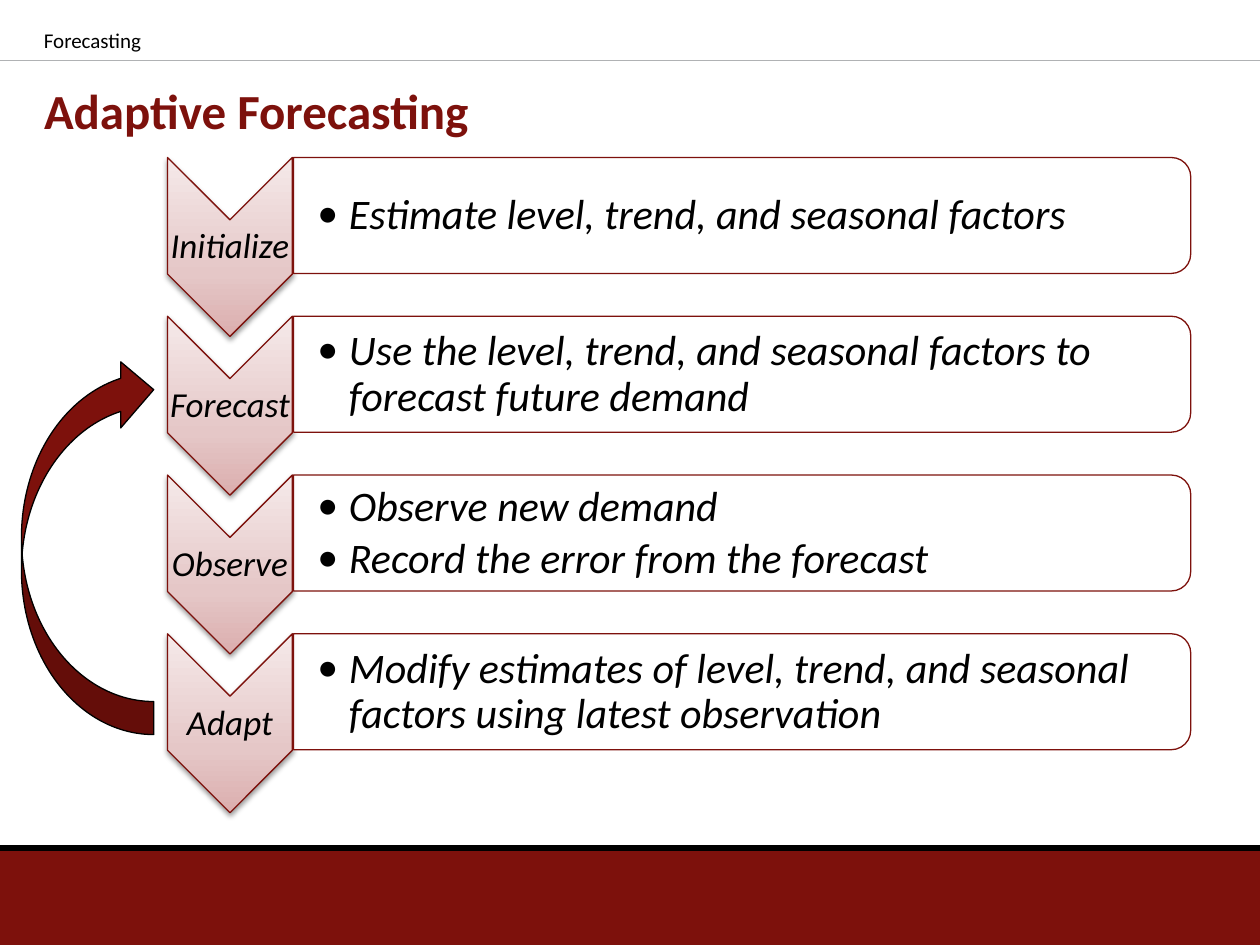
from lxml.etree import SubElement
from pptx import Presentation
from pptx.dml.color import RGBColor
from pptx.enum.shapes import MSO_CONNECTOR as Connector, MSO_SHAPE as Shape
from pptx.enum.text import MSO_ANCHOR as Anchor, PP_ALIGN as Align
from pptx.oxml.ns import qn
from pptx.util import Inches, Pt

MAROON, BLACK, WHITE, GREY = "7D110C", "000000", "FFFFFF", "B0B2B4"
CHEVRON_STOPS = [(0, "DBAEAE"), (35, "E5C7C7"), (100, "F5E9E9")]

STEPS = [
    ("Initialize", ["Estimate level, trend, and seasonal factors"]),
    ("Forecast", ["Use the level, trend, and seasonal factors to forecast future demand"]),
    ("Observe", ["Observe new demand", "Record the error from the forecast"]),
    ("Adapt", ["Modify estimates of level, trend, and seasonal factors using latest observation"]),
]
FIRST_TOP, PITCH = 1.25, 1.26
CHEVRON_LEFT, CHEVRON_WIDTH, CHEVRON_HEIGHT = 1.33, 0.99, 1.42
PANEL_LEFT, PANEL_WIDTH, PANEL_HEIGHT = 2.33, 7.12, 0.92


def color(value):
    return RGBColor.from_string(value)


def add_xml(parent, tag, **attributes):
    return SubElement(parent, qn(tag), {name: str(value) for name, value in attributes.items()})


class Painter:
    font = "Calibri"

    def __init__(self, page):
        self.page = page

    def fill_text(self, box, lines, size, ink=BLACK, bold=False, italic=False,
                  align=Align.LEFT, anchor=Anchor.TOP, margins=None):
        frame = box.text_frame
        frame.word_wrap = True
        frame.vertical_anchor = anchor
        if margins:
            (frame.margin_left, frame.margin_top,
             frame.margin_right, frame.margin_bottom) = map(Inches, margins)
        frame.text = "\n".join(lines)
        for para in frame.paragraphs:
            para.alignment = align
            for span in para.runs:
                font = span.font
                font.name, font.size = self.font, Pt(size)
                font.bold, font.italic = bold, italic
                font.color.rgb = color(ink)
        return frame.paragraphs

    def title(self, text, *place):
        box = self.page.shapes.title
        box.left, box.top, box.width, box.height = map(Inches, place)
        self.fill_text(box, [text], 28, MAROON, bold=True, anchor=Anchor.MIDDLE)

    def text(self, lines, *place, **style):
        box = self.page.shapes.add_textbox(*map(Inches, place))
        return self.fill_text(box, lines, **style)

    def shape(self, kind, left, top, width, height, fill=None, line=None, turn=0):
        """Add a preset shape; the place is the one seen after the turn."""
        if turn == 90:
            left, top = left + (width - height) / 2, top + (height - width) / 2
            width, height = height, width
        shape = self.page.shapes.add_shape(kind, *map(Inches, (left, top, width, height)))
        shape.rotation = turn
        shape.shadow.inherit = False
        if fill:
            shape.fill.solid()
            shape.fill.fore_color.rgb = color(fill)
        if line:
            shape.line.color.rgb = color(line)
            shape.line.width = Pt(0.75)
        else:
            shape.line.fill.background()
        return shape

    def rule(self, y, ink, width):
        line = self.page.shapes.add_connector(
            Connector.STRAIGHT, 0, Inches(y), Inches(10), Inches(y))
        line.line.color.rgb = color(ink)
        line.line.width = Pt(width)
        add_xml(line._element.spPr, "a:effectLst")

    def chevron(self, top):
        shape = self.shape(Shape.CHEVRON, CHEVRON_LEFT, top, CHEVRON_WIDTH, CHEVRON_HEIGHT,
                           line=MAROON, turn=90)
        shape.fill.gradient()
        shape.fill.gradient_angle = 90
        properties = shape._element.spPr
        gradient = properties.find(qn("a:gradFill"))
        gradient.set("rotWithShape", "0")
        stops = gradient.find(qn("a:gsLst"))
        stops.clear()
        for position, value in CHEVRON_STOPS:
            stop = add_xml(stops, "a:gs", pos=position * 1000)
            add_xml(stop, "a:srgbClr", val=value)
        shadow = add_xml(properties.find(qn("a:effectLst")), "a:outerShdw", blurRad=Pt(3.1),
                         dist=Pt(1.6), dir=5400000, rotWithShape=0)
        add_xml(add_xml(shadow, "a:srgbClr", val=BLACK), "a:alpha", val=38000)

    def panel(self, top):
        shape = self.shape(Shape.ROUND_2_SAME_RECTANGLE, PANEL_LEFT, top, PANEL_WIDTH,
                           PANEL_HEIGHT, WHITE, MAROON, turn=90)
        fill = shape._element.spPr.find(qn("a:solidFill"))
        add_xml(fill[0], "a:alpha", val=90000)

    def bullets(self, lines, *place):
        paragraphs = self.text(lines, *place, size=24, italic=True, anchor=Anchor.MIDDLE,
                               margins=(0.19, 0.02, 0.02, 0.02))
        for para in paragraphs:
            para.line_spacing = 0.9
            para.space_after = Pt(3.6)
            properties = para._p.get_or_add_pPr()
            properties.set("marL", str(Inches(0.25)))
            properties.set("indent", str(Inches(-0.25)))
            add_xml(properties, "a:buFont", typeface=self.font)
            add_xml(properties, "a:buChar", char="•")

    def step(self, top, label, lines):
        self.chevron(top)
        paragraphs = self.text([label], CHEVRON_LEFT, top + 0.5, CHEVRON_WIDTH, 0.43,
                               size=20, italic=True, align=Align.CENTER,
                               anchor=Anchor.MIDDLE, margins=[0.01] * 4)
        paragraphs[0].line_spacing = 0.9
        self.panel(top)
        self.bullets(lines, PANEL_LEFT, top + 0.05, 7.07, 0.83)


def main():
    deck = Presentation()
    deck.slide_width, deck.slide_height = Inches(10), Inches(7.5)
    painter = Painter(deck.slides.add_slide(deck.slide_layouts[5]))

    painter.shape(Shape.RECTANGLE, 0, 6.75, 10, 0.75, MAROON)
    painter.rule(0.48, GREY, 0.75)
    painter.rule(6.73, BLACK, 3.75)
    painter.title("Adaptive Forecasting", 0.25, 0.58, 9.19, 0.58)
    painter.text(["Forecasting"], 0.25, 0.17, 5.42, 0.33, size=12)
    for row, (label, lines) in enumerate(STEPS):
        painter.step(FIRST_TOP + row * PITCH, label, lines)
    painter.shape(Shape.CURVED_LEFT_ARROW, 0.17, 2.83, 1.05, 3, MAROON, BLACK, turn=180)

    deck.save("out.pptx")


if __name__ == "__main__":
    main()
